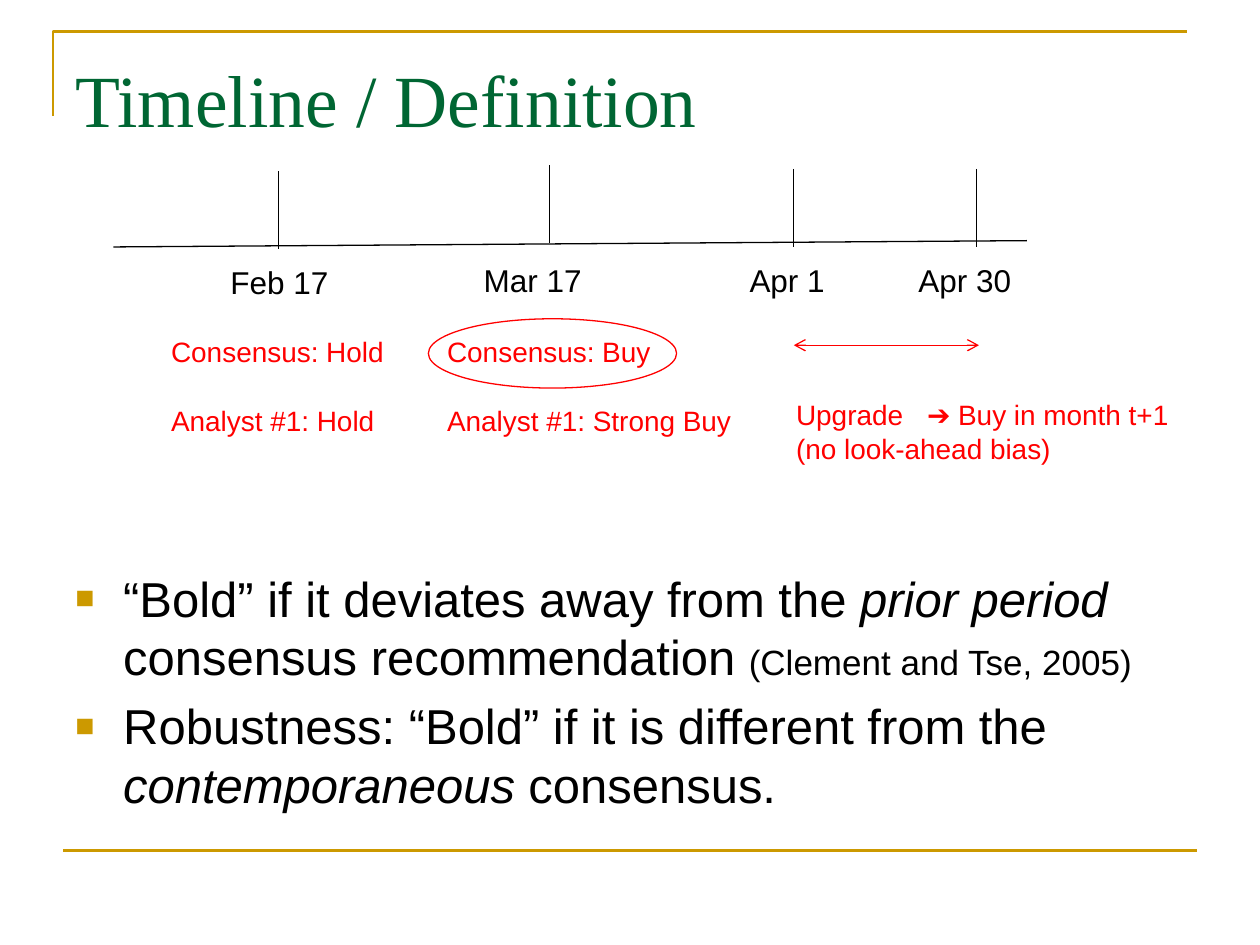
from lxml import etree
from pptx import Presentation
from pptx.dml.color import RGBColor
from pptx.enum.shapes import MSO_CONNECTOR, MSO_SHAPE
from pptx.oxml.ns import qn
from pptx.util import Emu, Inches, Pt

STRAIGHT = MSO_CONNECTOR.STRAIGHT
OVAL = MSO_SHAPE.OVAL
GOLD, GREEN, BLACK, RED = "CC9900", "006633", "000000", "FF0000"
W, H = 10, 7.5

TITLE = "Timeline / Definition"
DATES = [
    # label, label left, label top, tick x, tick top
    ("Feb 17", 1.73, 2.04, 2.21, 1.36),
    ("Mar 17", 3.74, 2.02, 4.36, 1.31),
    ("Apr 1", 5.85, 2.02, 6.3, 1.34),
    ("Apr 30", 7.19, 2.02, 7.75, 1.34),
]
NOTES = [
    # lines, box, space before the second line
    (["Consensus: Hold", "Analyst #1: Hold"], (1.26, 2.61, 1.93, 0.91), 20),
    (["Consensus: Buy", "Analyst #1: Strong Buy"], (3.45, 2.61, 2.48, 0.91), 20),
    (["Upgrade\t➔ Buy in month t+1", "(no look-ahead bias)"], (6.22, 3.11, 3.7, 0.64), 0),
]
BULLETS = [
    [("“Bold” if it deviates away from the ", 28, False), ("prior period", 28, True),
     (" consensus recommendation ", 28, False), ("(Clement and Tse, 2005)", 20, False)],
    [("Robustness: “Bold” if it is different from the ", 28, False),
     ("contemporaneous", 28, True), (" consensus.", 28, False)],
]


def rgb(color):
    """Turn a hex string into a colour."""
    return RGBColor.from_string(color)


def add_line(s, x1, y1, x2, y2, color=BLACK, width=0.75, arrows=False):
    """Draw a straight line, with open arrowheads at both ends if asked."""
    c = s.shapes.add_connector(STRAIGHT, *map(Inches, (x1, y1, x2, y2)))
    c.line.color.rgb = rgb(color)
    c.line.width = Pt(width)
    if arrows:
        for end in ("a:headEnd", "a:tailEnd"):
            etree.SubElement(c.line._get_or_add_ln(), qn(end), type="arrow")
    etree.SubElement(c._element.spPr, qn("a:effectLst"))


def add_box(s, x, y, w, h):
    """Add a wrapping text box and return its text frame."""
    tf = s.shapes.add_textbox(*map(Inches, (x, y, w, h))).text_frame
    tf.word_wrap = True
    return tf


def next_paragraph(tf, i):
    """Return the first paragraph, or a new one after it."""
    return tf.add_paragraph() if i else tf.paragraphs[0]


def add_run(p, text, size, color=BLACK, font="Arial", italic=False):
    """Append a formatted run to a paragraph."""
    r = p.add_run()
    r.text = text
    r.font.size, r.font.name, r.font.italic = Pt(size), font, italic
    r.font.color.rgb = rgb(color)


def add_bullet(p):
    """Give a paragraph a gold square bullet and a hanging indent."""
    pPr = p._p.get_or_add_pPr()
    pPr.set("marL", str(Inches(0.38)))
    pPr.set("indent", str(-Inches(0.38)))
    clr = etree.SubElement(pPr, qn("a:buClr"))
    etree.SubElement(clr, qn("a:srgbClr"), val=GOLD)
    etree.SubElement(pPr, qn("a:buSzPct"), val="65000")
    etree.SubElement(pPr, qn("a:buFont"), typeface="Arial")
    etree.SubElement(pPr, qn("a:buChar"), char="■")


def add_tab_stop(p, pos):
    """Set a left tab stop."""
    tabs = etree.SubElement(p._p.get_or_add_pPr(), qn("a:tabLst"))
    etree.SubElement(tabs, qn("a:tab"), pos=str(Inches(pos)), algn="l")


def add_frame(s):
    """Draw the gold corner and the gold rule at the foot."""
    fb = s.shapes.build_freeform(Inches(0.42), Inches(0.92))
    fb.add_line_segments([(Inches(0.42), Inches(0.25)), (Inches(9.42), Inches(0.25))], close=False)
    sp = fb.convert_to_shape()
    sp.shadow.inherit = False
    sp.fill.background()
    sp.line.color.rgb = rgb(GOLD)
    sp.line.width = Pt(1.5)
    add_line(s, 0.05 * W, 0.9 * H, 0.95 * W, 0.9 * H, GOLD, 1.5)


def add_timeline(s):
    """Draw the axis, its dated ticks and the notes below."""
    add_line(s, 0.9, 1.96, 8.15, 1.91)
    for label, left, top, x, tick_top in DATES:
        add_line(s, x, tick_top, x, tick_top + 0.62)
        add_run(add_box(s, left, top, 1.21, 0.4).paragraphs[0], label, 18)
    for lines, box, gap in NOTES:
        tf = add_box(s, *box)
        for i, text in enumerate(lines):
            p = next_paragraph(tf, i)
            p.space_before = Pt(gap * i)
            if "\t" in text:
                add_tab_stop(p, 1.04)
            add_run(p, text, 16, RED)
    add_line(s, 6.3, 2.74, 7.77, 2.74, RED, arrows=True)
    sp = s.shapes.add_shape(OVAL, *map(Inches, (3.4, 2.53, 1.97, 0.55)))
    sp.shadow.inherit = False
    sp.fill.background()
    sp.line.color.rgb = rgb(RED)
    sp.line.width = Pt(0.75)


def main():
    """Build and save the slide."""
    prs = Presentation()
    prs.slide_width, prs.slide_height = Inches(W), Inches(H)
    s = prs.slides.add_slide(prs.slide_layouts[6])
    add_frame(s)
    tf = add_box(s, 0.5, 0.3, 0.9 * W, 1.25)
    tf.margin_top = Emu(Inches(0.13))
    add_run(tf.paragraphs[0], TITLE, 42, GREEN, "Times New Roman")
    tf = add_box(s, 0.5, 4.46, 0.9 * W, 2.24)
    for i, runs in enumerate(BULLETS):
        p = next_paragraph(tf, i)
        p.space_before = Pt(5.6)
        add_bullet(p)
        for text, size, italic in runs:
            add_run(p, text, size, italic=italic)
    add_timeline(s)
    prs.save("out.pptx")


if __name__ == "__main__":
    main()
